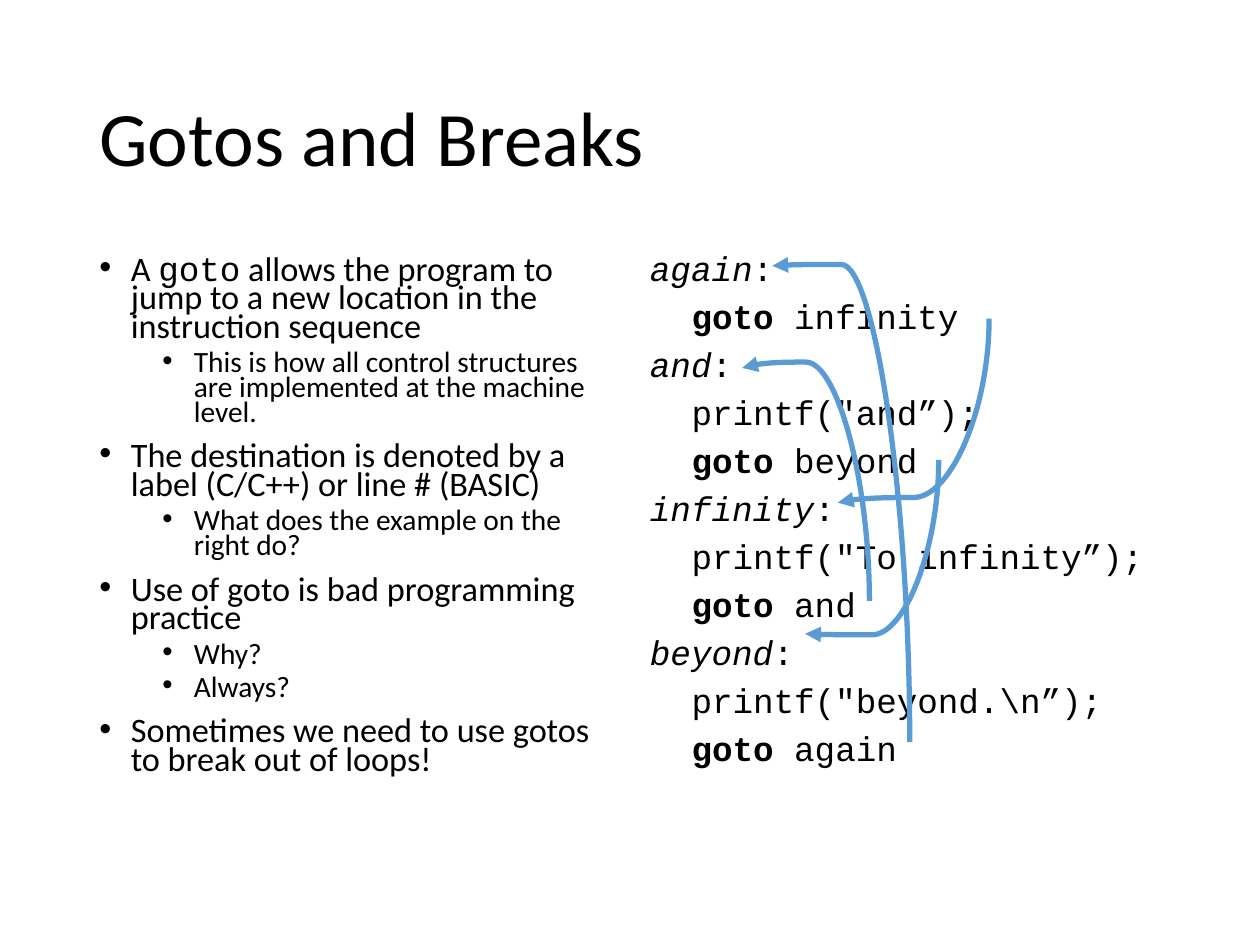
from lxml import etree
from pptx import Presentation
from pptx import util as u
from pptx.dml import color
from pptx.enum import shapes, text
from pptx.oxml import ns

WIDTH, HEIGHT = 10, 7.5
MARGIN = 0.69
COLUMN_WIDTH, GUTTER = 4.25, 0.12
BODY_TOP, BODY_HEIGHT = 2, 4.76
BODY_FONT, CODE_FONT = "Calibri", "Courier New"
BODY_SIZE, DETAIL_SIZE = 19.6, 16.8
INK, ARROW = "000000", "5B9BD5"
CODE_INDENT = 0.33

BULLETS = [
    (0, ["A ", "goto", " allows the program to jump to a new location in the instruction sequence"]),
    (1, ["This is how all control structures are implemented at the machine level."]),
    (0, ["The destination is denoted by a label (C/C++) or line # (BASIC)"]),
    (1, ["What does the example on the right do?"]),
    (0, ["Use of goto is bad programming practice"]),
    (1, ["Why?"]),
    (1, ["Always?"]),
    (0, ["Sometimes we need to use gotos to break out of loops!"]),
]

CODE = [
    ("label", "again"),
    ("goto", "infinity"),
    ("label", "and"),
    ("call", 'printf("and”);'),
    ("goto", "beyond"),
    ("label", "infinity"),
    ("call", 'printf("To infinity”);'),
    ("goto", "and"),
    ("label", "beyond"),
    ("call", 'printf("beyond.\\n”);'),
    ("goto", "again"),
]

JUMPS = [
    ((7.85, 2.53), (6.65, 3.99), 0.972),
    ((6.9, 4.77), (5.89, 2.92), 1.025),
    ((7.45, 3.65), (6.39, 5.03), 1.006),
    ((7.22, 5.89), (6.13, 2.11), 1.003),
]


def rgb(value):
    return color.RGBColor.from_string(value)


def add_text_frame(slide, left, top, width, height):
    box = slide.shapes.add_textbox(*map(u.Inches, (left, top, width, height)))
    box.text_frame.word_wrap = True
    return box.text_frame


def next_paragraph(frame):
    first = frame.paragraphs[0]
    return frame.add_paragraph() if first.runs else first


def style_paragraph(paragraph, font_name, size, line_spacing, space_before=0):
    paragraph.font.name = font_name
    paragraph.font.size = u.Pt(size)
    paragraph.font.color.rgb = rgb(INK)
    paragraph.line_spacing = line_spacing
    paragraph.space_before = u.Pt(space_before)


def add_run(paragraph, wording):
    run = paragraph.add_run()
    run.text = wording
    return run


def set_indent(paragraph, margin, first_line=0):
    properties = paragraph._p.get_or_add_pPr()
    properties.set("marL", str(u.Inches(margin)))
    properties.set("indent", str(u.Inches(first_line)))
    return properties


def add_bullet(properties):
    font = etree.SubElement(properties, ns.qn("a:buFont"), typeface="Arial")
    font.addnext(etree.Element(ns.qn("a:buChar"), char="•"))
    defaults = properties.find(ns.qn("a:defRPr"))
    if defaults is not None:
        properties.append(defaults)


def add_title(slide, wording):
    frame = add_text_frame(slide, MARGIN, 0.4, WIDTH - 2 * MARGIN, 1.45)
    frame.vertical_anchor = text.MSO_ANCHOR.MIDDLE
    paragraph = next_paragraph(frame)
    add_run(paragraph, wording)
    style_paragraph(paragraph, BODY_FONT, 44, 0.9)


def add_bullets(slide, left):
    frame = add_text_frame(slide, left, BODY_TOP, COLUMN_WIDTH, BODY_HEIGHT)
    for level, parts in BULLETS:
        paragraph = next_paragraph(frame)
        paragraph.level = level
        for part in parts:
            run = add_run(paragraph, part)
            if part == "goto":
                run.font.name = CODE_FONT
        size, gap = (DETAIL_SIZE, 5) if level else (BODY_SIZE, 10)
        style_paragraph(paragraph, BODY_FONT, size, 0.7, gap)
        add_bullet(set_indent(paragraph, 0.25 + 0.5 * level, -0.25))


def add_code(slide, left):
    frame = add_text_frame(slide, left, BODY_TOP, COLUMN_WIDTH, BODY_HEIGHT)
    for kind, wording in CODE:
        paragraph = next_paragraph(frame)
        if kind == "label":
            add_run(paragraph, wording).font.italic = True
            add_run(paragraph, ":")
        else:
            if kind == "goto":
                add_run(paragraph, "goto ").font.bold = True
            add_run(paragraph, wording)
            set_indent(paragraph, CODE_INDENT)
        style_paragraph(paragraph, CODE_FONT, BODY_SIZE, 0.7, 11)


def add_jump(slide, start, end, bend):
    (start_x, start_y), (end_x, end_y) = start, end
    length, depth = abs(end_y - start_y), abs(end_x - start_x)
    left = (start_x + end_x - length) / 2
    top = (start_y + end_y - depth) / 2
    corners = (left, top, left + length, top + depth)
    connector = slide.shapes.add_connector(
        shapes.MSO_CONNECTOR.CURVE, *map(u.Inches, corners))
    connector.line.color.rgb = rgb(ARROW)
    connector.line.width = u.Pt(3)

    properties = connector._element.spPr
    transform = properties.find(ns.qn("a:xfrm"))
    downward = end_y > start_y
    transform.set("rot", str((90 if downward else 270) * 60000))
    if not downward:
        transform.set("flipV", "1")
    geometry = properties.find(ns.qn("a:prstGeom"))
    adjustments = geometry.find(ns.qn("a:avLst"))
    if adjustments is None:
        adjustments = etree.SubElement(geometry, ns.qn("a:avLst"))
    etree.SubElement(adjustments, ns.qn("a:gd"), name="adj1",
                     fmla=f"val {round(bend * 100000)}")
    line = properties.find(ns.qn("a:ln"))
    etree.SubElement(line, ns.qn("a:tailEnd"), type="triangle")
    etree.SubElement(properties, ns.qn("a:effectLst"))


def main():
    presentation = Presentation()
    presentation.slide_width = u.Inches(WIDTH)
    presentation.slide_height = u.Inches(HEIGHT)
    slide = presentation.slides.add_slide(presentation.slide_layouts[6])
    add_title(slide, "Gotos and Breaks")
    add_bullets(slide, MARGIN)
    add_code(slide, MARGIN + COLUMN_WIDTH + GUTTER)
    for start, end, bend in JUMPS:
        add_jump(slide, start, end, bend)
    presentation.save("out.pptx")


if __name__ == "__main__":
    main()
